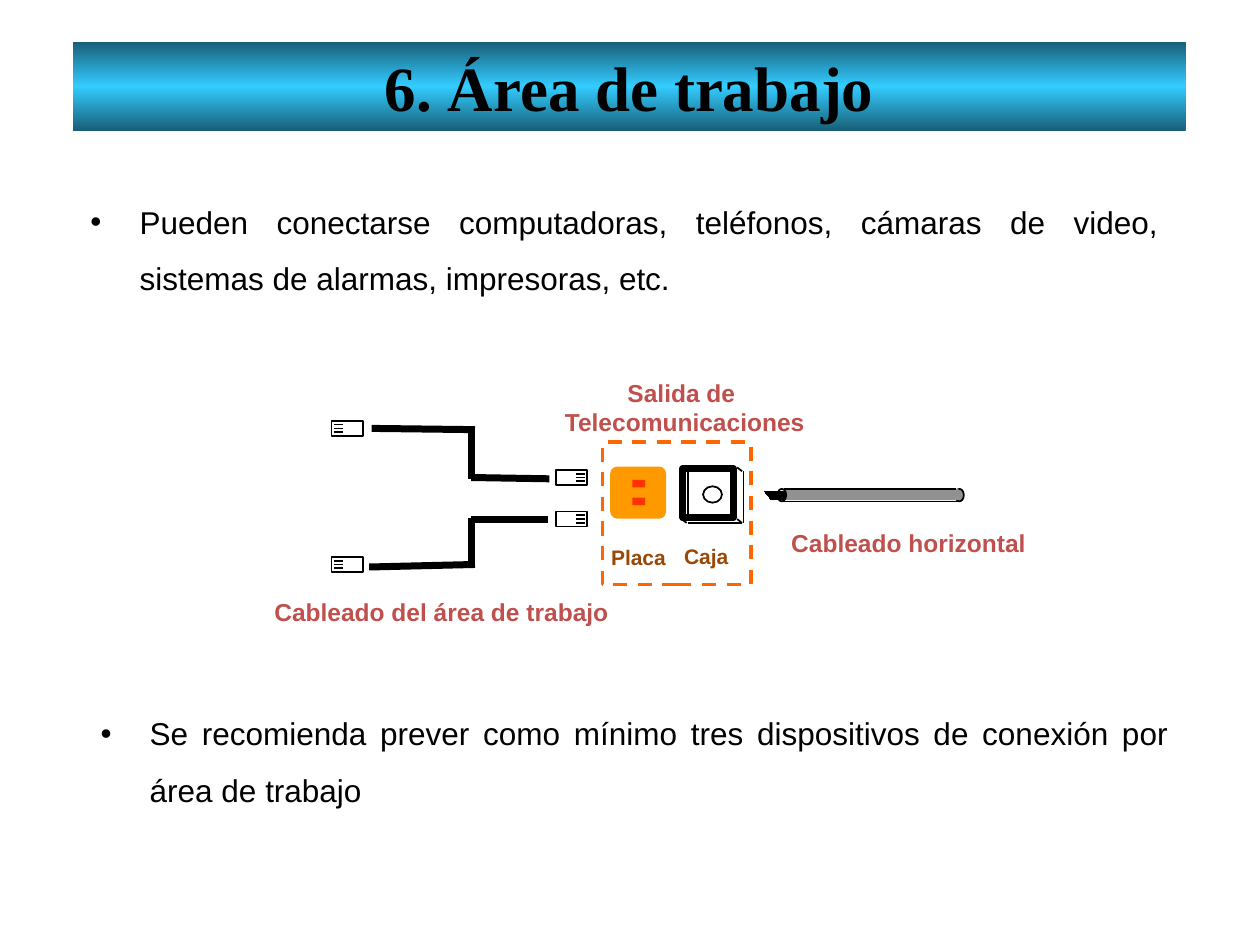
from copy import deepcopy
from dataclasses import dataclass

from pptx import Presentation
from pptx.dml.color import RGBColor
from pptx.enum.dml import MSO_LINE
from pptx.enum.shapes import MSO_CONNECTOR, MSO_SHAPE
from pptx.enum.text import MSO_ANCHOR, MSO_AUTO_SIZE, PP_ALIGN
from pptx.oxml.ns import qn
from pptx.util import Inches, Pt

COLORS = {
    "ink": "000000", "white": "FFFFFF", "band_edge": "185E76", "band_mid": "33CCFF",
    "label": "C0504D", "part": "984807", "plate": "FF9900", "slot": "FF3300",
    "dash": "FF6600", "sheath": "919191",
}
COLUMNS, ROWS = 1000, 750
SLIDE_WIDTH, SLIDE_HEIGHT = Inches(10), Inches(7.5)


def across(columns):
    return round(SLIDE_WIDTH * columns / COLUMNS)


def down(rows):
    return round(SLIDE_HEIGHT * rows / ROWS)


def color(name):
    return RGBColor.from_string(COLORS[name])


@dataclass
class Box:
    left: float
    top: float
    width: float
    height: float

    def inner(self, left, top, width, height):
        return Box(self.left + left, self.top + top, width, height)

    def emu(self):
        return across(self.left), down(self.top), across(self.width), down(self.height)


def add_run(paragraph, text, size, tone, font="Arial", bold=False):
    run = paragraph.add_run()
    run.text = text
    run.font.name, run.font.size, run.font.bold = font, Pt(size), bold
    run.font.color.rgb = color(tone)


def draw_shape(slide, kind, box, fill=None, line=None, weight=1):
    part = slide.shapes.add_shape(kind, *box.emu())
    part.shadow.inherit = False
    if fill:
        part.fill.solid()
        part.fill.fore_color.rgb = color(fill)
    else:
        part.fill.background()
    if line:
        part.line.color.rgb = color(line)
        part.line.width = Pt(weight)
    else:
        part.line.fill.background()
    return part


def draw_lines(slide, box, segments, weight=1):
    for x1, y1, x2, y2 in segments:
        wire = slide.shapes.add_connector(
            MSO_CONNECTOR.STRAIGHT,
            across(box.left + x1), down(box.top + y1),
            across(box.left + x2), down(box.top + y2))
        wire.line.color.rgb = color("ink")
        wire.line.width = Pt(weight)
        properties = wire._element.spPr
        properties.append(properties.makeelement(qn("a:effectLst"), {}))


def title_band(slide, box):
    title = slide.shapes.title
    title.left, title.top, title.width, title.height = box.emu()
    title.fill.gradient()
    title.fill.gradient_angle = 90
    stop_list = title._element.spPr.find(".//" + qn("a:gsLst"))
    stop_list.append(deepcopy(stop_list[0]))
    tones = ("band_edge", "band_mid", "band_edge")
    for stop, tone, position in zip(title.fill.gradient_stops, tones, (0, 0.5, 1)):
        stop.color.rgb = color(tone)
        stop.position = position
    frame = title.text_frame
    frame.word_wrap = True
    frame.auto_size = MSO_AUTO_SIZE.NONE
    frame.vertical_anchor = MSO_ANCHOR.MIDDLE
    paragraph = frame.paragraphs[0]
    paragraph.alignment = PP_ALIGN.CENTER
    add_run(paragraph, "6. Área de trabajo", 36, "ink", "Times New Roman", True)


def bullet(slide, box, text):
    frame = slide.shapes.add_textbox(*box.emu()).text_frame
    frame.word_wrap = True
    frame.auto_size = MSO_AUTO_SIZE.SHAPE_TO_FIT_TEXT
    paragraph = frame.paragraphs[0]
    paragraph.alignment = PP_ALIGN.JUSTIFY
    paragraph.line_spacing = 1.5
    properties = paragraph._p.get_or_add_pPr()
    properties.set("marL", str(across(39)))
    properties.set("indent", str(-across(39)))
    for tag, attributes in (("a:buFont", {"typeface": "Arial"}), ("a:buChar", {"char": "•"})):
        properties.append(properties.makeelement(qn(tag), attributes))
    add_run(paragraph, text, 18, "ink")


def label(slide, box, lines, size, tone, alignment=PP_ALIGN.LEFT):
    frame = slide.shapes.add_textbox(*box.emu()).text_frame
    frame.word_wrap = False
    frame.auto_size = MSO_AUTO_SIZE.SHAPE_TO_FIT_TEXT
    frame.margin_left = frame.margin_right = across(5)
    frame.margin_top = frame.margin_bottom = down(2)
    for index, text in enumerate(lines):
        paragraph = frame.add_paragraph() if index else frame.paragraphs[0]
        paragraph.alignment = alignment
        add_run(paragraph, text, size, tone, bold=True)


def plug(slide, box, pin_start):
    draw_shape(slide, MSO_SHAPE.RECTANGLE, box, line="ink")
    draw_lines(slide, box, [(pin_start, y, pin_start + 7, y) for y in (3, 6, 9)])


def patch_cords(slide, box):
    for left, top, pin_start in ((178, 39, 16), (178, 72, 16), (0, 0, 2), (0, 108, 2)):
        plug(slide, box.inner(left, top, 25, 12), pin_start)
    draw_lines(slide, box, [
        (32, 6, 114, 7), (111, 6, 111, 46), (111, 45, 173, 46),
        (30, 116, 114, 114), (111, 77, 111, 117), (111, 78, 172, 78)], 4)


def wall_box(slide, box):
    draw_shape(slide, MSO_SHAPE.RECTANGLE, box.inner(1, 1, 40, 39), line="ink", weight=4)
    corners = [(x, y, x + 4, y + 3) for x, y in ((0, 0), (44, 0), (0, 41), (44, 41))]
    sides = [(5, 44, 48, 44), (49, 3, 49, 44), (5, 3, 5, 40), (5, 3, 43, 3)]
    draw_lines(slide, box, corners + sides)
    draw_shape(slide, MSO_SHAPE.OVAL, box.inner(17, 15, 15, 13), line="ink")


def outlet(slide, box):
    wall_box(slide, box.inner(63, 20, 49, 44))
    plate = draw_shape(slide, MSO_SHAPE.ROUNDED_RECTANGLE, box.inner(7, 20, 43, 40),
                       "plate", "plate")
    plate.adjustments[0] = 0.125
    for top in (30, 44):
        draw_shape(slide, MSO_SHAPE.RECTANGLE, box.inner(24, top, 10, 6), "slot")
    label(slide, box.inner(2, 79, 54, 24), ["Placa"], 12, "part")
    label(slide, box.inner(60, 78, 46, 24), ["Caja"], 12, "part")
    border = draw_shape(slide, MSO_SHAPE.RECTANGLE, box, line="dash", weight=2)
    border.line.dash_style = MSO_LINE.DASH


def horizontal_cable(slide, box):
    draw_shape(slide, MSO_SHAPE.OVAL, box.inner(152, 0, 7, 10), "sheath", "ink")
    draw_shape(slide, MSO_SHAPE.RECTANGLE, box.inner(15, 0, 140, 9), "sheath")
    draw_shape(slide, MSO_SHAPE.OVAL, box.inner(11, 0, 7, 10), "white", "ink")
    strands = [(0.8 * step, 2 + step, 18, 2 + step) for step in range(7)]
    draw_lines(slide, box, [(16, 0, 153, 0), (15, 10, 155, 10)] + strands)


def wiring_diagram(slide, box):
    label(slide, box.inner(231, 0, 201, 51), ["Salida de ", "Telecomunicaciones"],
          14, "label", PP_ALIGN.CENTER)
    label(slide, box.inner(0, 174, 277, 28), ["Cableado del área de trabajo"],
          14, "label", PP_ALIGN.CENTER)
    label(slide, box.inner(411, 119, 197, 28), ["Cableado horizontal"], 14, "label")
    patch_cords(slide, box.inner(51, 36, 203, 120))
    outlet(slide, box.inner(266, 53, 118, 113))
    horizontal_cable(slide, box.inner(394, 90, 159, 10))


def main():
    deck = Presentation()
    deck.slide_width, deck.slide_height = SLIDE_WIDTH, SLIDE_HEIGHT
    slide = deck.slides.add_slide(deck.slide_layouts[5])
    title_band(slide, Box(58, 33, 883, 71))
    bullet(slide, Box(62, 141, 867, 101),
           "Pueden conectarse computadoras, teléfonos, cámaras de video, "
           "sistemas de alarmas, impresoras, etc.")
    wiring_diagram(slide, Box(212, 298, 608, 202))
    bullet(slide, Box(70, 547, 867, 101),
           "Se recomienda prever como mínimo tres dispositivos de conexión por área de trabajo")
    deck.save("out.pptx")


if __name__ == "__main__":
    main()
